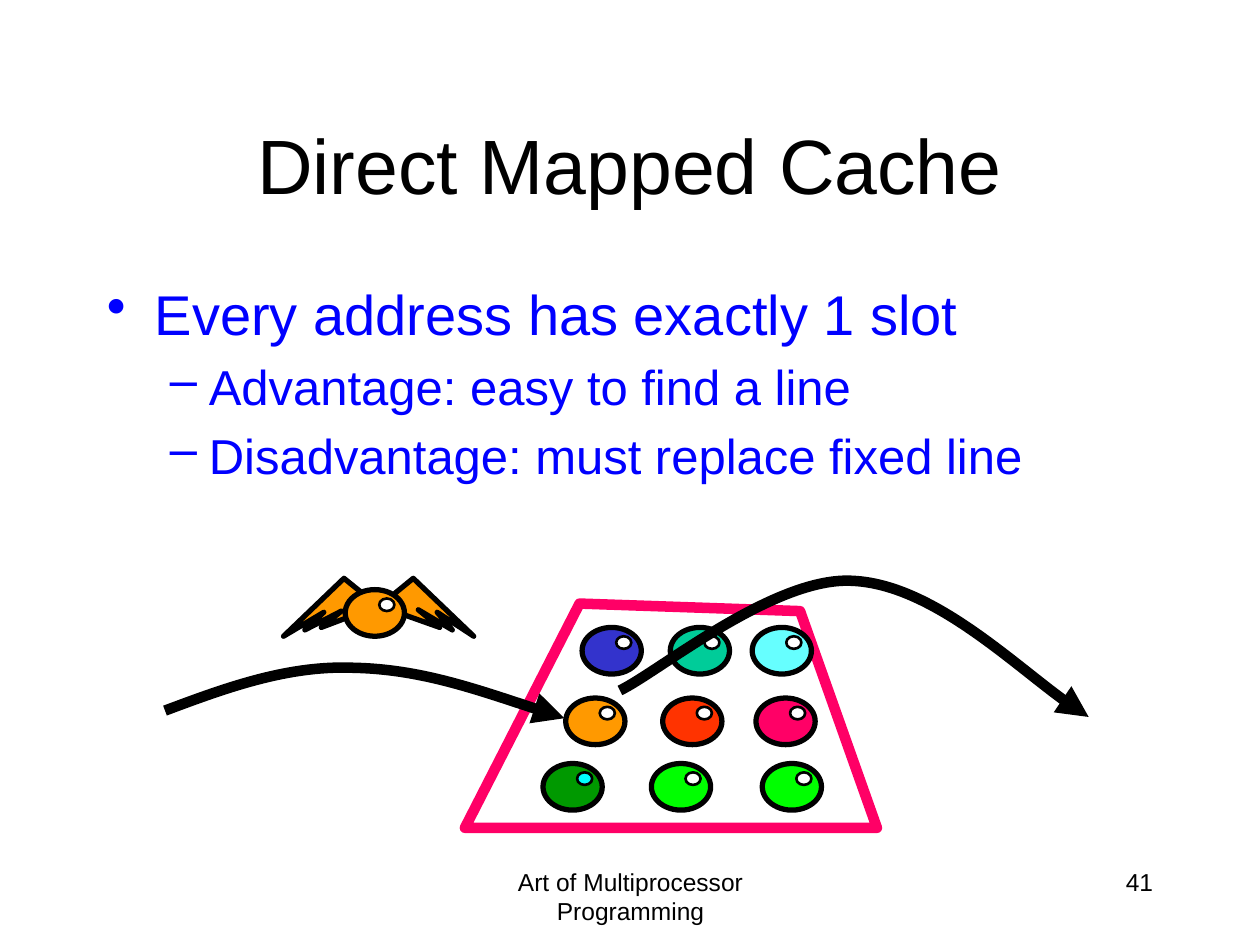
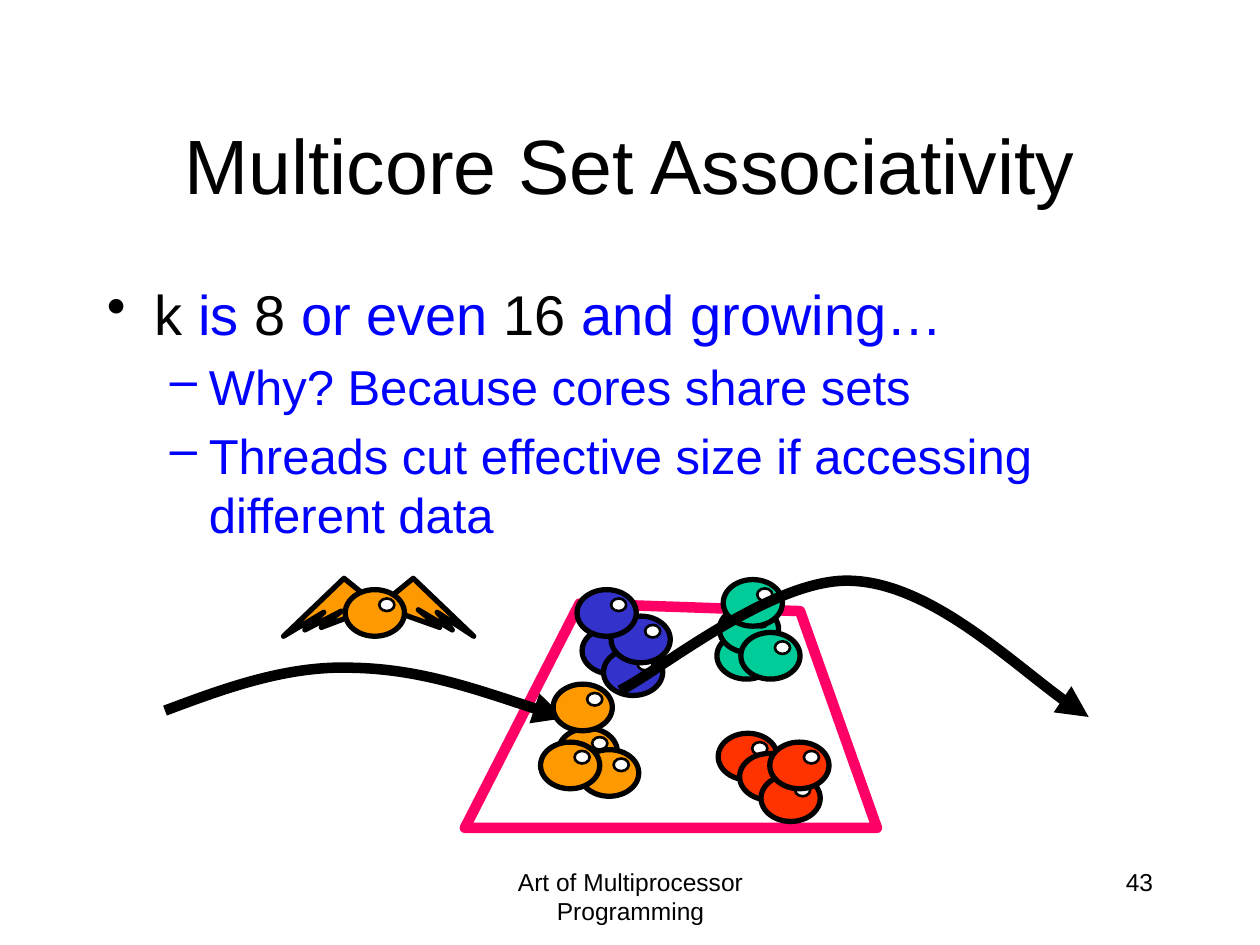
from lxml.etree import SubElement
from pptx import Presentation
from pptx.dml.color import RGBColor
from pptx.enum.shapes import MSO_SHAPE as Shape
from pptx.enum.text import MSO_ANCHOR as Anchor, PP_ALIGN as Align
from pptx.oxml.ns import qn
from pptx.util import Pt

PX = 9144  # 100 px to the inch

BLACK = RGBColor(0x00, 0x00, 0x00)
WHITE = RGBColor(0xFF, 0xFF, 0xFF)
BLUE = RGBColor(0x00, 0x00, 0xFF)
PINK = RGBColor(0xFF, 0x00, 0x66)
ORANGE = RGBColor(0xFF, 0x99, 0x00)
RED = RGBColor(0xFF, 0x33, 0x00)
TEAL = RGBColor(0x00, 0xCC, 0x99)
INDIGO = RGBColor(0x33, 0x33, 0xCC)
SKY = RGBColor(0x66, 0xFF, 0xFF)
CYAN = RGBColor(0x00, 0xFF, 0xFF)
LIME = RGBColor(0x00, 0xFF, 0x00)
GREEN = RGBColor(0x00, 0x99, 0x00)
FONT = "Arial"

# Bullet levels: left margin, hanging indent, size in points, bullet
LEVELS = [(38, 38, 32, "•"), (81, 31, 28, "–")]

# Outlines shared by both slides
CACHE = [(460, 479), (369, 657), (696, 657), (635, 485)]
RIGHT_WING = [(306, 477), (328, 459), (376, 505), (347, 486),
              (359, 500), (332, 484), (349, 498), (301, 481)]
LEFT_WING = [(294, 476), (273, 459), (225, 505), (257, 486),
             (242, 500), (271, 485), (255, 498), (300, 481)]
# Bezier points: start, then two controls and an end for each segment
ARROW_IN = [(131, 564), (179, 546), (228, 528), (280, 530),
            (333, 531), (390, 551), (448, 570)]
ARROW_OUT = [(492, 548), (523, 533), (615, 457), (677, 461),
             (739, 464), (825, 546), (864, 569)]

# Each slide: title, number, bullets as (level, runs), balls as (x, y, colour, glint)
direct_rows = [
    (606, [(605, LIME, WHITE), (517, LIME, WHITE), (431, GREEN, CYAN)]),
    (554, [(600, PINK, WHITE), (526, RED, WHITE), (449, ORANGE, WHITE)]),
    (498, [(597, SKY, WHITE), (532, TEAL, WHITE), (462, INDIGO, WHITE)]),
]
cache_sets = [
    (RED, [(570, 582), (587, 598), (604, 615), (611, 589)]),
    (ORANGE, [(443, 578), (460, 595), (429, 589), (439, 543)]),
    (TEAL, [(569, 502), (571, 481), (574, 460), (588, 502)]),
    (INDIGO, [(462, 498), (479, 515), (485, 489), (458, 468)]),
]
SLIDES = [
    ("Direct Mapped Cache", "41",
     [(0, [("Every address has exactly 1 slot", BLUE)]),
      (1, [("Advantage: easy to find a line", BLUE)]),
      (1, [("Disadvantage: must replace fixed line", BLUE)])],
     [(x, y, color, glint) for y, row in direct_rows for x, color, glint in row]),
    ("Multicore Set Associativity", "43",
     [(0, [("k", BLACK), (" is ", BLUE), ("8", BLACK), (" or even ", BLUE),
           ("16", BLACK), (" and growing…", BLUE)]),
      (1, [("Why? Because cores share sets", BLUE)]),
      (1, [("Threads cut effective size if accessing different data", BLUE)])],
     [(x, y, color, WHITE) for color, spots in cache_sets for x, y in spots]),
]


def add_ball(shapes, x, y, color, glint=WHITE):
    """Outlined ball with a small glint at its upper right."""
    for left, top, width, height, fill, weight in (
            (x, y, 47, 37, color, 3), (x + 27, y + 7, 12, 10, glint, 1.5)):
        oval = shapes.add_shape(Shape.OVAL, left * PX, top * PX, width * PX, height * PX)
        oval.shadow.inherit = False
        oval.fill.solid()
        oval.fill.fore_color.rgb = fill
        oval.line.color.rgb = BLACK
        oval.line.width = Pt(weight)


def add_outline(shapes, points, color, weight, fill=None, arrow=False):
    """Closed polygon, or a curved arrow through Bezier points."""
    builder = shapes.build_freeform(*points[0], scale=PX)
    builder.add_line_segments(points[1:], close=not arrow)
    outline = builder.convert_to_shape()
    outline.shadow.inherit = False
    if fill is None:
        outline.fill.background()
    else:
        outline.fill.solid()
        outline.fill.fore_color.rgb = fill
    outline.line.color.rgb = color
    outline.line.width = Pt(weight)
    stroke = outline.line._get_or_add_ln()
    SubElement(stroke, qn("a:round"))
    if arrow:
        SubElement(stroke, qn("a:tailEnd"), type="triangle")
        # Turn every three straight steps into one cubic segment
        steps = list(outline._element.iter(qn("a:lnTo")))
        for first in range(0, len(steps), 3):
            curve = SubElement(steps[0].getparent() if first == 0 else track,
                               qn("a:cubicBezTo"))
            track = curve.getparent()
            for step in steps[first:first + 3]:
                curve.append(step[0])
                track.remove(step)


prs = Presentation()
prs.slide_width, prs.slide_height = 1000 * PX, 750 * PX

for title, number, bullets, balls in SLIDES:
    slide = prs.slides.add_slide(prs.slide_layouts[6])
    shapes = slide.shapes

    # Footer, slide number and title
    for text, (x, y, w, h), size, align, anchor in (
            ("Art of Multiprocessor Programming", (342, 683, 317, 50), 14,
             Align.CENTER, Anchor.TOP),
            (number, (717, 683, 208, 50), 14, Align.RIGHT, Anchor.TOP),
            (title, (75, 67, 850, 125), 44, Align.CENTER, Anchor.MIDDLE)):
        frame = shapes.add_textbox(x * PX, y * PX, w * PX, h * PX).text_frame
        frame.word_wrap = True
        frame.vertical_anchor = anchor
        line = frame.paragraphs[0]
        line.text = text
        line.alignment = align
        line.font.name, line.font.size = FONT, Pt(size)
        line.font.color.rgb = BLACK

    # Bullets
    body = shapes.add_textbox(75 * PX, 217 * PX, 850 * PX, 450 * PX).text_frame
    body.word_wrap = True
    for index, (level, runs) in enumerate(bullets):
        margin, hang, size, mark = LEVELS[level]
        bullet = body.add_paragraph() if index else body.paragraphs[0]
        bullet.level = level
        bullet.space_before = Pt(size * 0.2)
        bullet.font.name, bullet.font.size = FONT, Pt(size)
        for text, color in runs:
            run = bullet.add_run()
            run.text = text
            run.font.color.rgb = color
        props = bullet._p.get_or_add_pPr()
        props.set("marL", str(margin * PX))
        props.set("indent", str(-hang * PX))
        bullet_char = props.makeelement(qn("a:buChar"), {"char": mark})
        props.find(qn("a:spcBef")).addnext(bullet_char)

    # Cache and the winged ball flying into it
    add_outline(shapes, CACHE, PINK, 6)
    flyer = shapes.add_group_shape().shapes
    for wing in (RIGHT_WING, LEFT_WING):
        add_outline(flyer, wing, BLACK, 3, fill=ORANGE)
    add_ball(flyer, 274, 468, ORANGE)
    add_outline(shapes, ARROW_IN, BLACK, 6, arrow=True)

    # Cached lines and the one that leaves
    for ball in balls:
        add_ball(shapes.add_group_shape().shapes, *ball)
    add_outline(shapes, ARROW_OUT, BLACK, 6, arrow=True)

prs.save("out.pptx")
